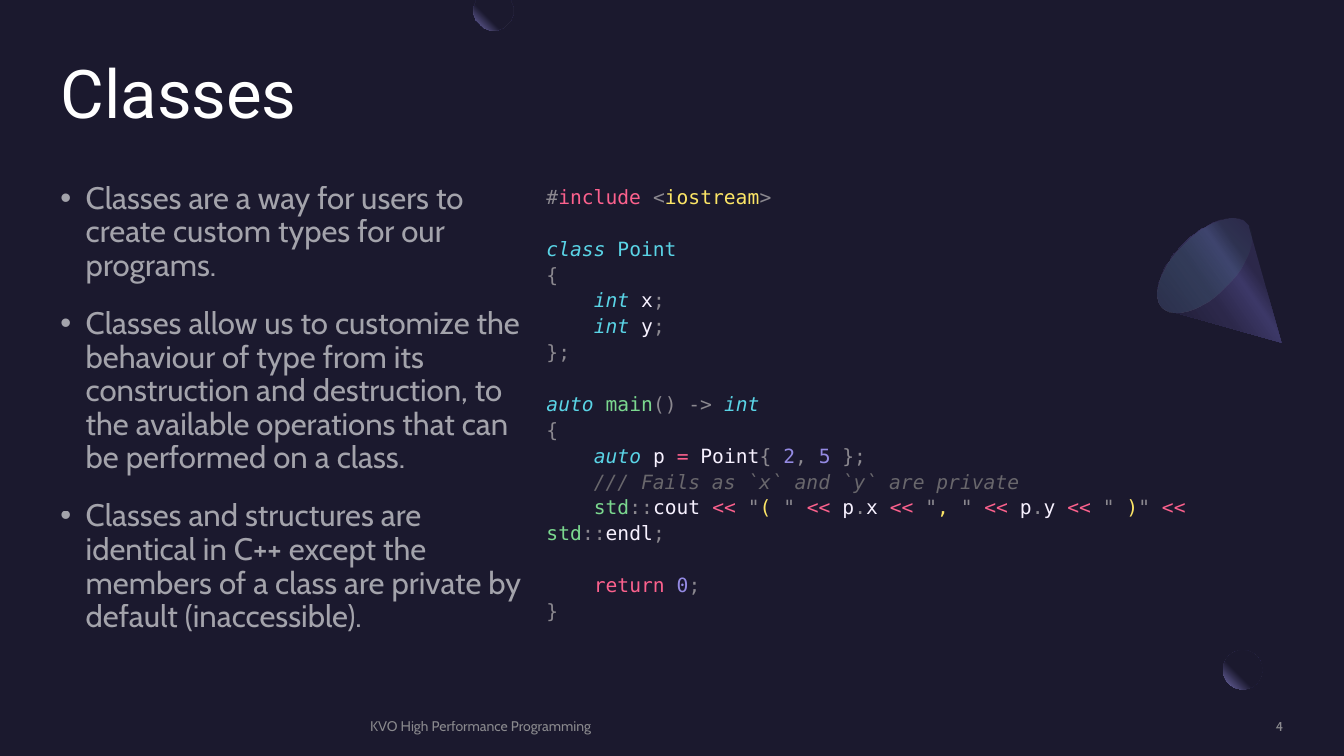
"""Builds the "Classes" slide of a C++ programming course."""
import math

from pptx import Presentation
from pptx import util as u
from pptx.dml.color import RGBColor
from pptx.enum import shapes, text
from pptx.oxml import parse_xml
from pptx.oxml.ns import nsdecls, qn

PX = 9144
COLOURS = {
    "night": "1B192E", "lilac": "7771B2", "dusk": "2C284A", "indigo": "3C3867",
    "violet": "454075", "mint": "5BEFC1", "white": "FFFFFF", "footer": "A6A6A6",
}
SYNTAX = {
    "g": "8B888F", "p": "FC618D", "y": "FCE566", "c": "5AD4E6", "i": "5AD4E6",
    "w": "F7F1FF", "f": "7BD88F", "n": "948AE3", "r": "69676C",
}
ITALIC_STYLES = "ir"
ORB_STOPS = [(60, "night", 100), (100, "lilac", 100)]
ORB_PATH = '<a:path path="circle"><a:fillToRect l="100000" b="100000"/></a:path>'

POINTS = [
    "Classes are a way for users to create custom types for our programs.",
    "Classes allow us to customize the behaviour of type from its construction and "
    "destruction, to the available operations that can be performed on a class.",
    "Classes and structures are identical in C++ except the members of a class are "
    "private by default (inaccessible).",
]
CODE = [
    (0, 0, "g#|pinclude |g<|yiostream|g>"),
    (1, 0, "iclass |cPoint"),
    (0, 0, "g{"),
    (0, 1, "iint|w x|g;"),
    (0, 1, "iint|w y|g;"),
    (0, 0, "g};"),
    (1, 0, "iauto |fmain|g() -> |iint"),
    (0, 0, "g{"),
    (0, 1, "iauto|w p |p=|w Point|g{ |n2|g, |n5 |g};"),
    (0, 1, "r/// Fails as `x` and `y` are private"),
    (0, 1, 'fstd|g::|wcout |p<< |g"|y( |g" |p<< |wp|g.|wx |p<< |g"|y, |g" |p<< '
           '|wp|g.|wy |p<< |g"|y )|g" |p<< |fstd|g::|wendl|g;'),
    (1, 1, "preturn |n0|g;"),
    (0, 0, "g}"),
]


def box(*lengths):
    return [u.Emu(length * PX) for length in lengths]


def style(run, font, size, colour, italic=False):
    run.font.name = font
    run.font.size = u.Pt(size)
    run.font.italic = italic
    run.font.color.rgb = RGBColor.from_string(colour)


def fade(shape, percent):
    for colour in shape.element.iter(qn("a:srgbClr")):
        colour.append(parse_xml(f'<a:alpha {nsdecls("a")} val="{percent * 1000}"/>'))


def plain(shape):
    shape.shadow.inherit = False
    shape.line.fill.background()
    shape.fill.background()
    return shape


def gradient(shape, stops, direction):
    colours = "".join(
        f'<a:gs pos="{pos * 1000}"><a:srgbClr val="{COLOURS[name]}">'
        f'<a:alpha val="{alpha * 1000}"/></a:srgbClr></a:gs>' for pos, name, alpha in stops)
    fill = parse_xml(f'<a:gradFill {nsdecls("a")} rotWithShape="1"><a:gsLst>{colours}'
                     f'</a:gsLst>{direction}</a:gradFill>')
    properties = shape.element.spPr
    properties.replace(properties.find(qn("a:noFill")), fill)


def linear(degrees):
    return f'<a:lin ang="{degrees * 60000}" scaled="0"/>'


def arc(centre, radii, tilt, start, end, steps=60):
    cos_tilt, sin_tilt = math.cos(math.radians(tilt)), math.sin(math.radians(tilt))
    points = []
    for step in range(steps + 1):
        turn = math.radians(start + (end - start) * step / steps)
        along, across = radii[0] * math.cos(turn), radii[1] * math.sin(turn)
        points.append((centre[0] + along * cos_tilt - across * sin_tilt,
                       centre[1] + along * sin_tilt + across * cos_tilt))
    return points


def outline(slide, points):
    builder = slide.shapes.build_freeform(*points[0], scale=PX)
    builder.add_line_segments(points[1:], close=True)
    return plain(builder.convert_to_shape())


def preset(slide, kind, *place):
    return plain(slide.shapes.add_shape(kind, *box(*place)))


def prepare(shape, place, anchor=text.MSO_ANCHOR.TOP):
    shape.left, shape.top, shape.width, shape.height = box(*place)
    frame = shape.text_frame
    frame.margin_left = frame.margin_top = frame.margin_right = frame.margin_bottom = 0
    frame.auto_size = text.MSO_AUTO_SIZE.NONE
    frame.word_wrap = True
    frame.vertical_anchor = anchor
    return frame


def space(paragraph, lines, before=0, after=0):
    paragraph.alignment = text.PP_ALIGN.LEFT
    paragraph.line_spacing = lines
    paragraph.space_before, paragraph.space_after = u.Pt(before), u.Pt(after)


def indent(paragraph, margin, first, bullet):
    properties = paragraph._p.get_or_add_pPr()
    properties.set("marL", str(margin * PX))
    properties.set("indent", str(first * PX))
    properties.append(parse_xml(bullet))


def add_title(title, wording):
    frame = prepare(title, (60, 60, 1214, 146))
    frame.text = wording
    space(frame.paragraphs[0], 0.9)
    style(frame.paragraphs[0].runs[0], "Roboto", 48, COLOURS["white"])


def add_points(body):
    frame = prepare(body, (60, 181, 458, 469))
    frame.text = "\n".join(POINTS)
    for point in frame.paragraphs:
        space(point, 0.9, before=9.5, after=8)
        indent(point, 25, -25, f'<a:buChar {nsdecls("a")} char="•"/>')
        style(point.runs[0], "Cabin", 22.2, COLOURS["white"])
    fade(body, 60)


def add_code(body):
    frame = prepare(body, (542, 181, 732, 469))
    for number, (blanks, level, pieces) in enumerate(CODE):
        line = frame.add_paragraph() if number else frame.paragraphs[0]
        space(line, 1.1, before=18.5 * blanks)
        indent(line, 0, 47 * level, f'<a:buNone {nsdecls("a")}/>')
        for piece in pieces.split("|"):
            run = line.add_run()
            run.text = piece[1:]
            style(run, "DejaVu Sans Mono", 14, SYNTAX[piece[0]], piece[0] in ITALIC_STYLES)


def add_footer(slide, wording, place, alignment):
    footer = slide.shapes.add_textbox(*box(*place))
    frame = prepare(footer, place, text.MSO_ANCHOR.MIDDLE)
    frame.text = wording
    frame.paragraphs[0].alignment = alignment
    style(frame.paragraphs[0].runs[0], "Cabin", 10, COLOURS["footer"])
    fade(footer, 80)


def add_orbs(slide):
    lower_orb = preset(slide, shapes.MSO_SHAPE.OVAL, 1213, 645, 39, 39)
    gradient(lower_orb, ORB_STOPS, ORB_PATH)
    veil = preset(slide, shapes.MSO_SHAPE.RECTANGLE, 1252, 637, 41, 39)
    veil.fill.solid()
    veil.fill.fore_color.rgb = RGBColor.from_string(COLOURS["night"])
    fade(veil, 80)
    upper_orb = outline(slide, arc((489.5, 10.5), (19.5, 19.5), 0, -32, 212))
    gradient(upper_orb, ORB_STOPS, ORB_PATH)


def add_cone(slide):
    side = outline(slide, [(1271, 340)] + arc((1194.5, 263), (59, 29.5), -45, 11, -191))
    gradient(side, [(30, "dusk", 100), (40, "indigo", 100), (60, "dusk", 100),
                    (100, "night", 100)], linear(145))
    base = preset(slide, shapes.MSO_SHAPE.OVAL, 1165, 204, 59, 118)
    base.rotation = 225
    gradient(base, [(0, "violet", 33), (100, "mint", 0)], linear(90))


def main():
    deck = Presentation()
    deck.slide_width, deck.slide_height = box(1333, 750)
    slide = deck.slides.add_slide(deck.slide_layouts[3])
    slide.background.fill.solid()
    slide.background.fill.fore_color.rgb = RGBColor.from_string(COLOURS["night"])
    title, points, code = slide.placeholders
    add_orbs(slide)
    add_cone(slide)
    add_title(title, "Classes")
    add_points(points)
    add_code(code)
    add_footer(slide, "KVO High Performance Programming", (367, 712, 698, 17), text.PP_ALIGN.LEFT)
    add_footer(slide, "4", (1088, 712, 185, 17), text.PP_ALIGN.RIGHT)
    deck.save("out.pptx")


if __name__ == "__main__":
    main()
